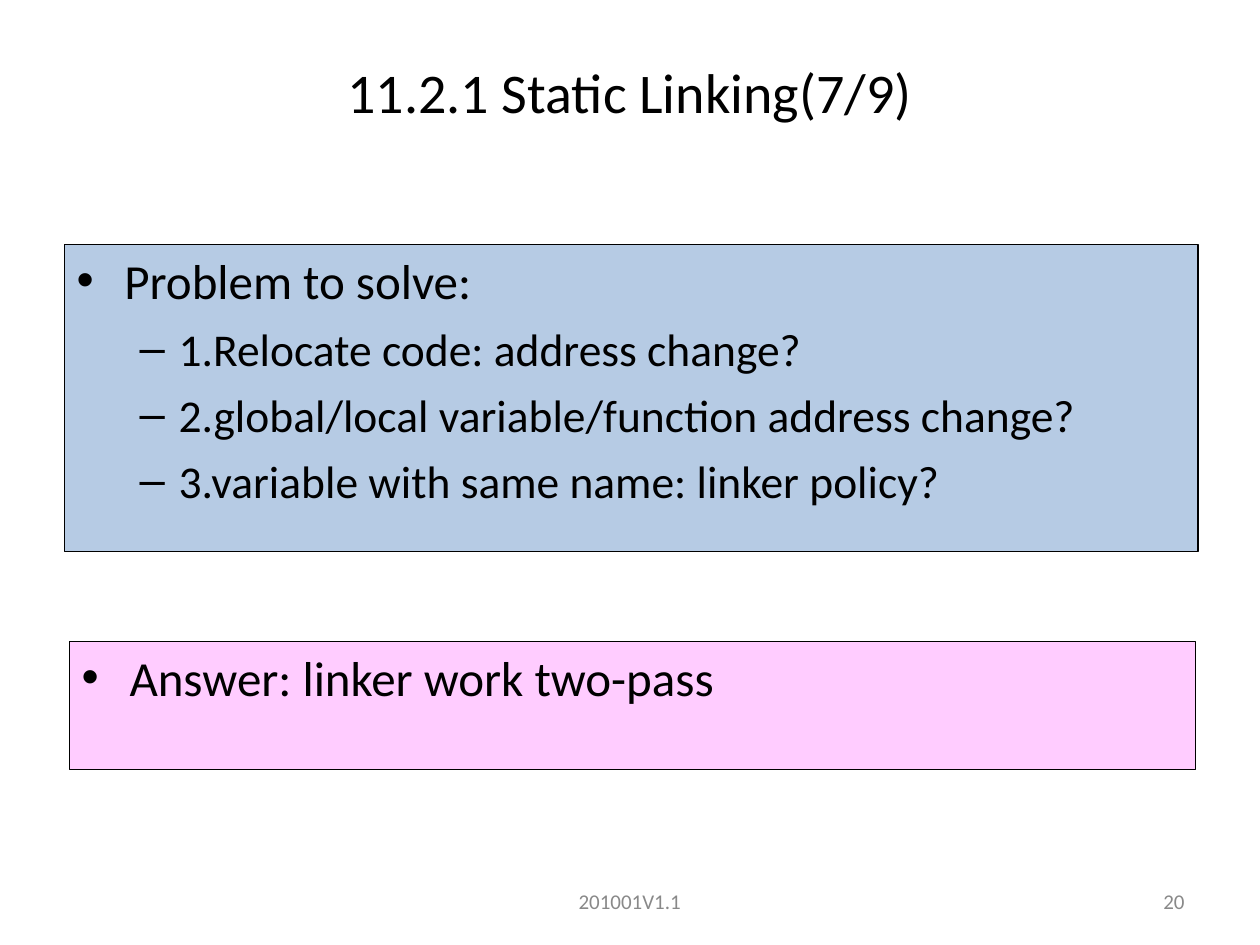
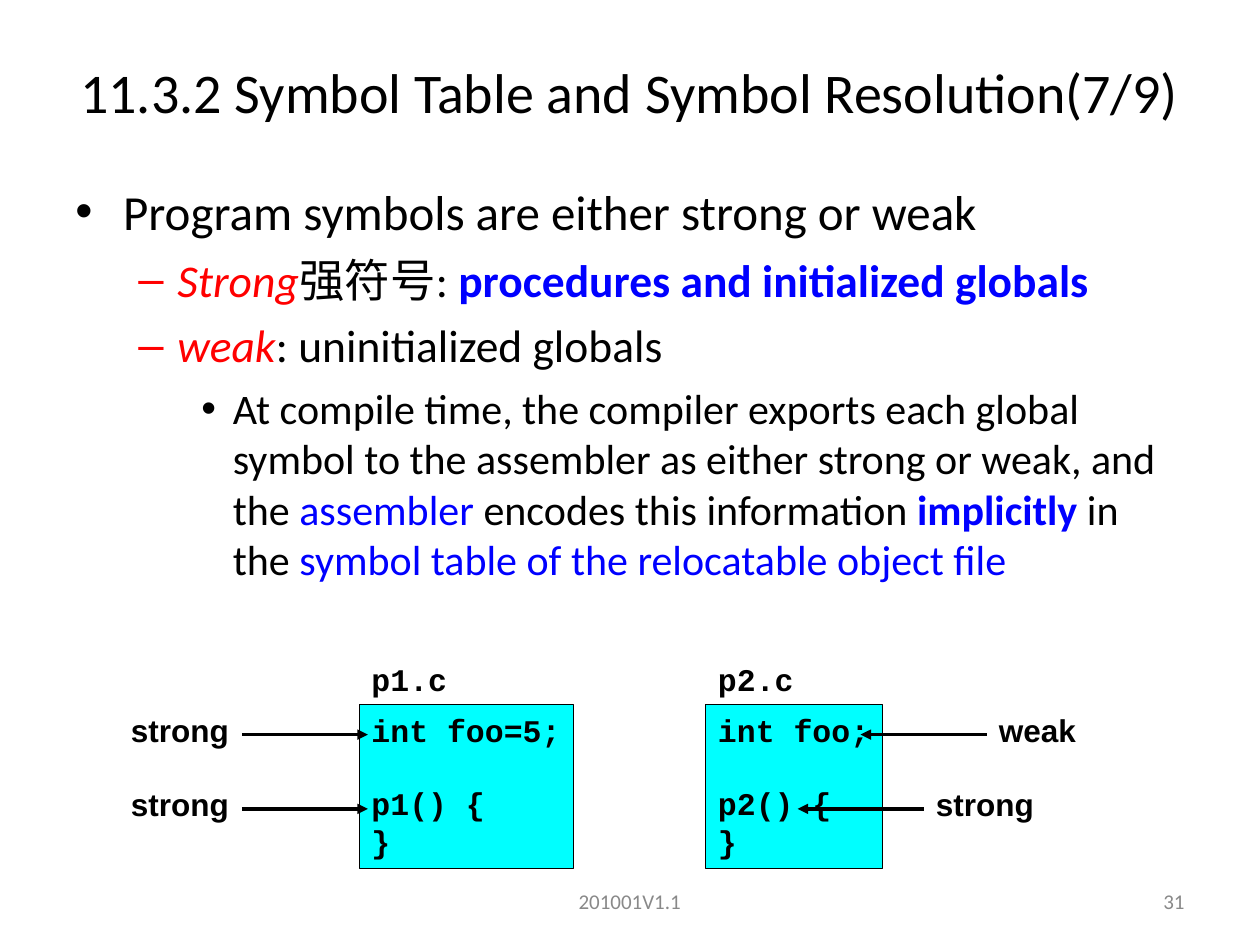
from collections import namedtuple

from lxml.etree import SubElement
from pptx import Presentation
from pptx.dml.color import RGBColor
from pptx.enum.shapes import MSO_CONNECTOR, MSO_SHAPE
from pptx.enum.text import MSO_ANCHOR, PP_ALIGN
from pptx.oxml.ns import qn
from pptx.util import Inches, Pt

# The slide is a grid of 20 columns and 15 rows; boxes are given in grid units.
COLUMNS, ROWS = 20, 15
UNIT = Inches(0.5)
Box = namedtuple("Box", "left top width height")
Level = namedtuple("Level", "margin hanging bullet size before")

BLACK, GREY, RED, BLUE = "000000", "898989", "FF0000", "0000FF"
PALE_BLUE, PINK, CYAN = "B6CBE4", "FFCCFF", "00FFFF"
BODY_FONT, LABEL_FONT, CODE_FONT = "Calibri", "Arial", "Courier New"
CHINESE_FONT = "Noto Sans CJK SC"

TITLE = Box(0, 0.6, COLUMNS, 1.7)
FOOTER = Box(6.83, 13.9, 6.33, 0.8)
PAGE_NUMBER = Box(14.33, 13.9, 4.67, 0.8)

LEVELS = [
    Level(0.38, 0.38, "•", 28, 7),
    Level(0.81, 0.31, "–", 26, 6.5),
    Level(1.25, 0.25, "•", 24, 6),
]

CODE_SIZE = 18
CODE_LINE = 20.4  # points
ARROW_LENGTH = 2
LABEL_WIDTH, LABEL_HEIGHT = 1.96, 0.8


def color(hex_text):
    return RGBColor.from_string(hex_text)


def units(*values):
    return [round(value * UNIT) for value in values]


def set_font(font, name, size, tint=BLACK, bold=False):
    font.name, font.size, font.bold = name, Pt(size), bold
    font.color.rgb = color(tint)


def add_text_frame(page, box, fill=None, line_width=0.75, wrap=True):
    """Add a plain text box, or an outlined rectangle when a fill is given."""
    if fill:
        shape = page.shapes.add_shape(MSO_SHAPE.RECTANGLE, *units(*box))
        shape.shadow.inherit = False
        shape.fill.solid()
        shape.fill.fore_color.rgb = color(fill)
        shape.line.color.rgb = color(BLACK)
        shape.line.width = Pt(line_width)
    else:
        shape = page.shapes.add_textbox(*units(*box))
    frame = shape.text_frame
    frame.word_wrap = wrap
    frame.vertical_anchor = MSO_ANCHOR.TOP
    return frame


def add_line_of_text(page, box, text, name, size, tint=BLACK, bold=False,
                     align=PP_ALIGN.LEFT, anchor=MSO_ANCHOR.TOP, wrap=True):
    frame = add_text_frame(page, box, wrap=wrap)
    frame.vertical_anchor = anchor
    para = frame.paragraphs[0]
    para.text, para.alignment = text, align
    set_font(para.font, name, size, tint, bold)


def add_page(deck, title, number):
    page = deck.slides.add_slide(deck.slide_layouts[6])
    for box, text, size, tint, align in [
        (FOOTER, "201001V1.1", 12, GREY, PP_ALIGN.CENTER),
        (PAGE_NUMBER, str(number), 12, GREY, PP_ALIGN.RIGHT),
        (TITLE, title, 32, BLACK, PP_ALIGN.CENTER),
    ]:
        add_line_of_text(page, box, text, BODY_FONT, size, tint,
                         align=align, anchor=MSO_ANCHOR.MIDDLE)
    return page


def set_bullet(para, level, tint):
    props = para._p.get_or_add_pPr()
    props.set("marL", str(Inches(level.margin)))
    props.set("indent", str(-Inches(level.hanging)))
    SubElement(SubElement(props, qn("a:buClr")), qn("a:srgbClr")).set("val", tint)
    SubElement(props, qn("a:buFont")).set("typeface", LABEL_FONT)
    SubElement(props, qn("a:buChar")).set("char", level.bullet)


def add_span(para, text, tint=BLACK, bold=None, italic=None, chinese=False):
    span = para.add_run()
    span.text = text
    span.font.color.rgb = color(tint)
    span.font.bold, span.font.italic = bold, italic
    if chinese:
        span.font.name = CHINESE_FONT
        SubElement(span.font._element, qn("a:ea")).set("typeface", CHINESE_FONT)


def add_bullets(page, box, items, fill=None):
    """Items are (depth, spans); spans is one text or a list of styled spans."""
    frame = add_text_frame(page, box, fill)
    for index, (depth, spans) in enumerate(items):
        para = frame.add_paragraph() if index else frame.paragraphs[0]
        para.alignment = PP_ALIGN.LEFT
        level = LEVELS[depth]
        if isinstance(spans, str):
            spans = [{"text": spans}]
        set_bullet(para, level, spans[0].get("tint", BLACK))
        if index:
            para.space_before = Pt(level.before)
        set_font(para.font, BODY_FONT, level.size)
        for span in spans:
            add_span(para, **span)


def add_arrow(page, start, end, height):
    arrow = page.shapes.add_connector(
        MSO_CONNECTOR.STRAIGHT, *units(start, height, end, height))
    arrow.line.color.rgb = color(BLACK)
    arrow.line.width = Pt(2)
    SubElement(arrow.line._get_or_add_ln(), qn("a:tailEnd")).set("type", "triangle")
    SubElement(arrow._element.spPr, qn("a:effectLst"))


def add_source_file(page, box, file_name, declaration, function):
    name_box = Box(box.left, box.top - 0.8, 1.6, 0.8)
    add_line_of_text(page, name_box, file_name, CODE_FONT, CODE_SIZE,
                     bold=True, wrap=False)
    frame = add_text_frame(page, box, CYAN, line_width=0.25, wrap=False)
    for index, text in enumerate([declaration, function, "}"]):
        para = frame.add_paragraph() if index else frame.paragraphs[0]
        para.text, para.alignment = text, PP_ALIGN.LEFT
        if text == function:
            para.space_before = Pt(CODE_LINE)
        set_font(para.font, CODE_FONT, CODE_SIZE, bold=True)


def add_symbol_labels(page, box, labels, side):
    """Labels are (text, row, tip), measured from the corner of the code box."""
    for text, row, tip in labels:
        height, end = box.top + row, box.left + tip
        start = end + side * ARROW_LENGTH
        left = start if side > 0 else start - LABEL_WIDTH
        label_box = Box(left, height - 0.48, LABEL_WIDTH, LABEL_HEIGHT)
        add_line_of_text(page, label_box, text, LABEL_FONT, 18,
                         bold=True, wrap=False)
        add_arrow(page, start, end, height)


def build_static_linking(deck):
    page = add_page(deck, "11.2.1 Static Linking(7/9)", 20)
    add_bullets(page, Box(1.02, 3.88, 18, 4.88), [
        (0, "Problem to solve:"),
        (1, "1.Relocate code: address change?"),
        (1, "2.global/local variable/function address change?"),
        (1, "3.variable with same name: linker policy?"),
    ], PALE_BLUE)
    add_bullets(page, Box(1.1, 10.18, 17.88, 2.04),
                [(0, "Answer: linker work two-pass")], PINK)


def build_symbol_resolution(deck):
    page = add_page(deck, "11.3.2 Symbol Table and Symbol Resolution(7/9)", 31)
    add_bullets(page, Box(1, 2.78, 18, 10.62), [
        (0, "Program symbols are either strong or weak"),
        (1, [
            dict(text="Strong", tint=RED, italic=True),
            dict(text="强符号", chinese=True),
            dict(text=": "),
            dict(text="procedures and initialized globals", tint=BLUE, bold=True),
        ]),
        (1, [
            dict(text="weak", tint=RED, italic=True),
            dict(text=": uninitialized globals"),
        ]),
        (2, [
            dict(text="At compile time, the compiler exports each global symbol "
                      "to the assembler as either strong or weak, and the "),
            dict(text="assembler", tint=BLUE),
            dict(text=" encodes this information"),
            dict(text=" implicitly", tint=BLUE, bold=True),
            dict(text=" in the "),
            dict(text="symbol table of the relocatable object file", tint=BLUE),
        ]),
    ])
    first, second = Box(5.7, 11.18, 3.4, 2.6), Box(11.2, 11.18, 2.8, 2.6)
    variable_row, function_row = 0.48, 1.66
    add_source_file(page, first, "p1.c", "int foo=5;", "p1() {")
    add_source_file(page, second, "p2.c", "int foo;", "p2() {")
    add_symbol_labels(page, first, [("strong", variable_row, 0.14),
                                    ("strong", function_row, 0.14)], side=-1)
    add_symbol_labels(page, second, [("weak", variable_row, 2.46),
                                     ("strong", function_row, 1.46)], side=1)


def main():
    deck = Presentation()
    deck.slide_width, deck.slide_height = units(COLUMNS, ROWS)
    build_static_linking(deck)
    build_symbol_resolution(deck)
    deck.save("out.pptx")


if __name__ == "__main__":
    main()
